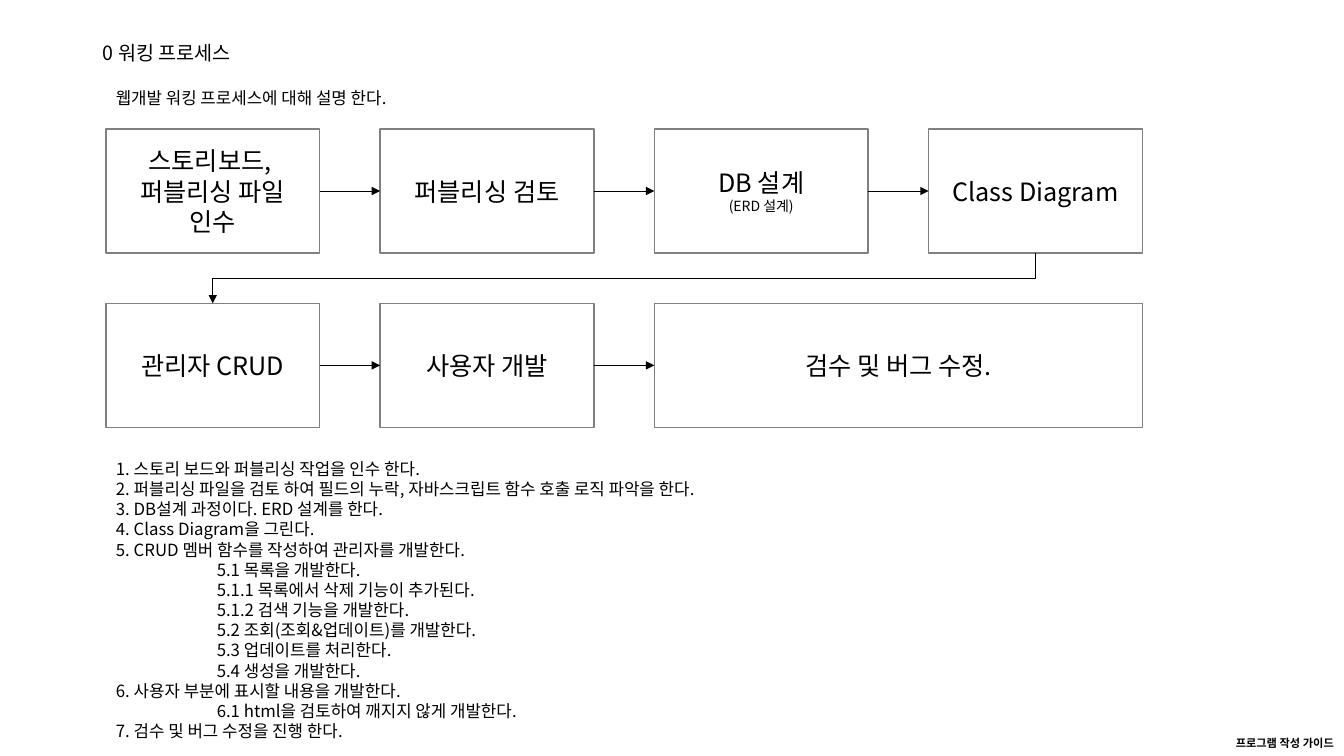
import lxml.etree
import pptx
import pptx.util
import pptx.dml.color
import pptx.enum.shapes
import pptx.enum.text
import pptx.oxml.ns

Inches = pptx.util.Inches
Pt = pptx.util.Pt
ALIGN = pptx.enum.text.PP_ALIGN
ANCHOR = pptx.enum.text.MSO_ANCHOR
CONNECTOR = pptx.enum.shapes.MSO_CONNECTOR

COLORS = {"text": "000000", "box": "FFFFFF", "border": "808080", "arrow": "000000"}
FONT = "Noto Sans CJK KR"

BOX_WIDTH, BOX_HEIGHT, GAP = 2.12, 1.23, 0.6
LEFT, TOP_ROW, BOTTOM_ROW = 1.05, 1.28, 3.01
RIGHT_SIDE, LEFT_SIDE = 3, 1

FLOW_ROWS = [
    (TOP_ROW, [
        (["스토리보드, ", "퍼블리싱 파일 인수"], 1),
        (["퍼블리싱 검토"], 1),
        (["DB 설계", ("(ERD 설계)", 10)], 1),
        (["Class Diagram"], 1),
    ]),
    (BOTTOM_ROW, [
        (["관리자 CRUD"], 1),
        (["사용자 개발"], 1),
        (["검수 및 버그 수정."], 2),
    ]),
]

STEPS = [
    ("1. 스토리 보드와 퍼블리싱 작업을 인수 한다.", 0),
    ("2. 퍼블리싱 파일을 검토 하여 필드의 누락, 자바스크립트 함수 호출 로직 파악을 한다.", 0),
    ("3. DB설계 과정이다. ERD 설계를 한다.", 0),
    ("4. Class Diagram을 그린다.", 0),
    ("5. CRUD 멤버 함수를 작성하여 관리자를 개발한다.", 0),
    ("5.1 목록을 개발한다.", 1),
    ("5.1.1 목록에서 삭제 기능이 추가된다.", 1),
    ("5.1.2 검색 기능을 개발한다.", 1),
    ("5.2 조회(조회&업데이트)를 개발한다.", 1),
    ("5.3 업데이트를 처리한다.", 1),
    ("5.4 생성을 개발한다.", 1),
    ("6. 사용자 부분에 표시할 내용을 개발한다.", 0),
    ("6.1 html을 검토하여 깨지지 않게 개발한다.", 1),
    ("7. 검수 및 버그 수정을 진행 한다.", 0),
]


def rgb(name):
    return pptx.dml.color.RGBColor.from_string(COLORS[name])


def add_xml(parent, tag, **attributes):
    lxml.etree.SubElement(parent, pptx.oxml.ns.qn(tag), attributes)


def write_text(paragraph, text, size=12, bold=False, align=ALIGN.LEFT, line_spacing=1.0):
    paragraph.alignment = align
    paragraph.line_spacing = line_spacing
    paragraph.space_before = paragraph.space_after = Pt(0)
    run = paragraph.add_run()
    run.text = text
    run.font.size = Pt(size)
    run.font.bold = bold
    run.font.name = FONT
    run.font.color.rgb = rgb("text")
    add_xml(run._r.get_or_add_rPr(), "a:ea", typeface=FONT)


def add_paragraphs(frame, count):
    """Return count paragraphs, the first being the one the frame already has."""
    return [frame.paragraphs[0]] + [frame.add_paragraph() for _ in range(count - 1)]


class ProcessSlide:
    """Holds the current slide and draws the process in one shared style."""

    def __init__(self, presentation):
        self.slide = presentation.slides.add_slide(presentation.slide_layouts[1])
        self.shapes = self.slide.shapes

    def place(self, shape, left, top, width, height):
        shape.left, shape.top = Inches(left), Inches(top)
        shape.width, shape.height = Inches(width), Inches(height)

    def title(self, text, *position):
        title = self.shapes.title
        self.place(title, *position)
        title.text_frame.auto_size = pptx.enum.text.MSO_AUTO_SIZE.NONE
        title.text_frame.vertical_anchor = ANCHOR.MIDDLE
        write_text(title.text_frame.paragraphs[0], text, size=14, line_spacing=0.9)

    def steps(self, steps, *position):
        body = self.slide.placeholders[1]
        self.place(body, *position)
        frame = body.text_frame
        frame.auto_size = pptx.enum.text.MSO_AUTO_SIZE.NONE
        for paragraph, (text, level) in zip(add_paragraphs(frame, len(steps)), steps):
            write_text(paragraph, text)
            paragraph.level = level
            properties = paragraph._p.get_or_add_pPr()
            properties.set("marL", str(Inches(level)))
            properties.set("indent", "0")
            add_xml(properties, "a:buNone")

    def label(self, text, *position, wrap=True, **text_format):
        frame = self.shapes.add_textbox(*map(Inches, position)).text_frame
        frame.word_wrap = wrap
        write_text(frame.paragraphs[0], text, **text_format)

    def box(self, lines, *position):
        box = self.shapes.add_shape(
            pptx.enum.shapes.MSO_SHAPE.RECTANGLE, *map(Inches, position))
        box.shadow.inherit = False
        box.fill.solid()
        box.fill.fore_color.rgb = rgb("box")
        box.line.color.rgb = rgb("border")
        box.line.width = Pt(1)
        frame = box.text_frame
        frame.word_wrap = True
        frame.vertical_anchor = ANCHOR.MIDDLE
        for paragraph, line in zip(add_paragraphs(frame, len(lines)), lines):
            text, size = line if isinstance(line, tuple) else (line, 18)
            write_text(paragraph, text, size=size, align=ALIGN.CENTER)
        return box

    def connector(self, kind, *ends):
        connector = self.shapes.add_connector(kind, *map(Inches, ends))
        connector.line.color.rgb = rgb("arrow")
        connector.line.width = Pt(0.5)
        properties = connector._element.spPr
        add_xml(properties.find(pptx.oxml.ns.qn("a:ln")), "a:tailEnd", type="triangle")
        add_xml(properties, "a:effectLst")
        return connector

    def arrow(self, source, target):
        arrow = self.connector(CONNECTOR.STRAIGHT, 0, 0, 0, 0)
        arrow.begin_connect(source, RIGHT_SIDE)
        arrow.end_connect(target, LEFT_SIDE)

    def return_arrow(self, start_x, start_y, end_x, end_y):
        """Elbow that leaves downwards: a tall elbow turned by 90 degrees."""
        middle_x, middle_y = (start_x + end_x) / 2, (start_y + end_y) / 2
        drop, run = (end_y - start_y) / 2, (start_x - end_x) / 2
        elbow = self.connector(CONNECTOR.ELBOW, middle_x - drop, middle_y - run,
                               middle_x + drop, middle_y + run)
        elbow._element.spPr.find(pptx.oxml.ns.qn("a:xfrm")).set("rot", "5400000")

    def flow_row(self, top, steps):
        column, previous = 0, None
        for lines, span in steps:
            left = LEFT + column * (BOX_WIDTH + GAP)
            width = span * BOX_WIDTH + (span - 1) * GAP
            box = self.box(lines, left, top, width, BOX_HEIGHT)
            if previous is not None:
                self.arrow(previous, box)
            column, previous = column + span, box


def main():
    presentation = pptx.Presentation()
    presentation.slide_width, presentation.slide_height = Inches(13.33), Inches(7.5)
    slide = ProcessSlide(presentation)

    slide.label("프로그램 작성 가이드", 0, 7.26, 13.33, 0.24,
                size=8, bold=True, align=ALIGN.RIGHT)
    slide.title("0 워킹 프로세스", 0.92, 0.4, 11.5, 0.27)
    slide.label("웹개발 워킹 프로세스에 대해 설명 한다.", LEFT, 0.82, 3.23, 0.3, wrap=False)
    for top, steps in FLOW_ROWS:
        slide.flow_row(top, steps)
    first_center = LEFT + BOX_WIDTH / 2
    last_center = first_center + 3 * (BOX_WIDTH + GAP)
    slide.return_arrow(last_center, TOP_ROW + BOX_HEIGHT, first_center, BOTTOM_ROW)
    slide.steps(STEPS, LEFT, 4.5, 10.28, 2.93)

    presentation.save("out.pptx")


if __name__ == "__main__":
    main()
